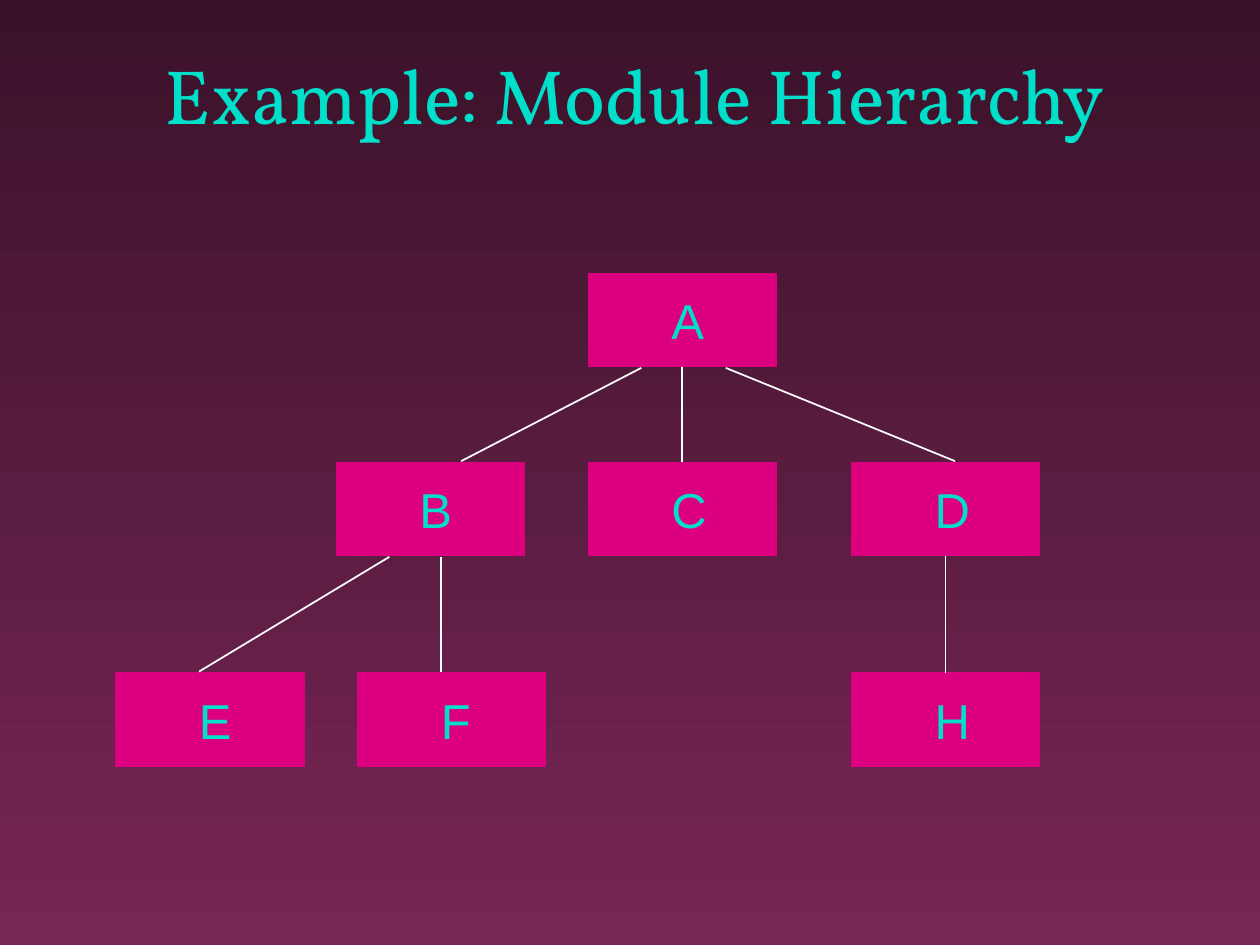
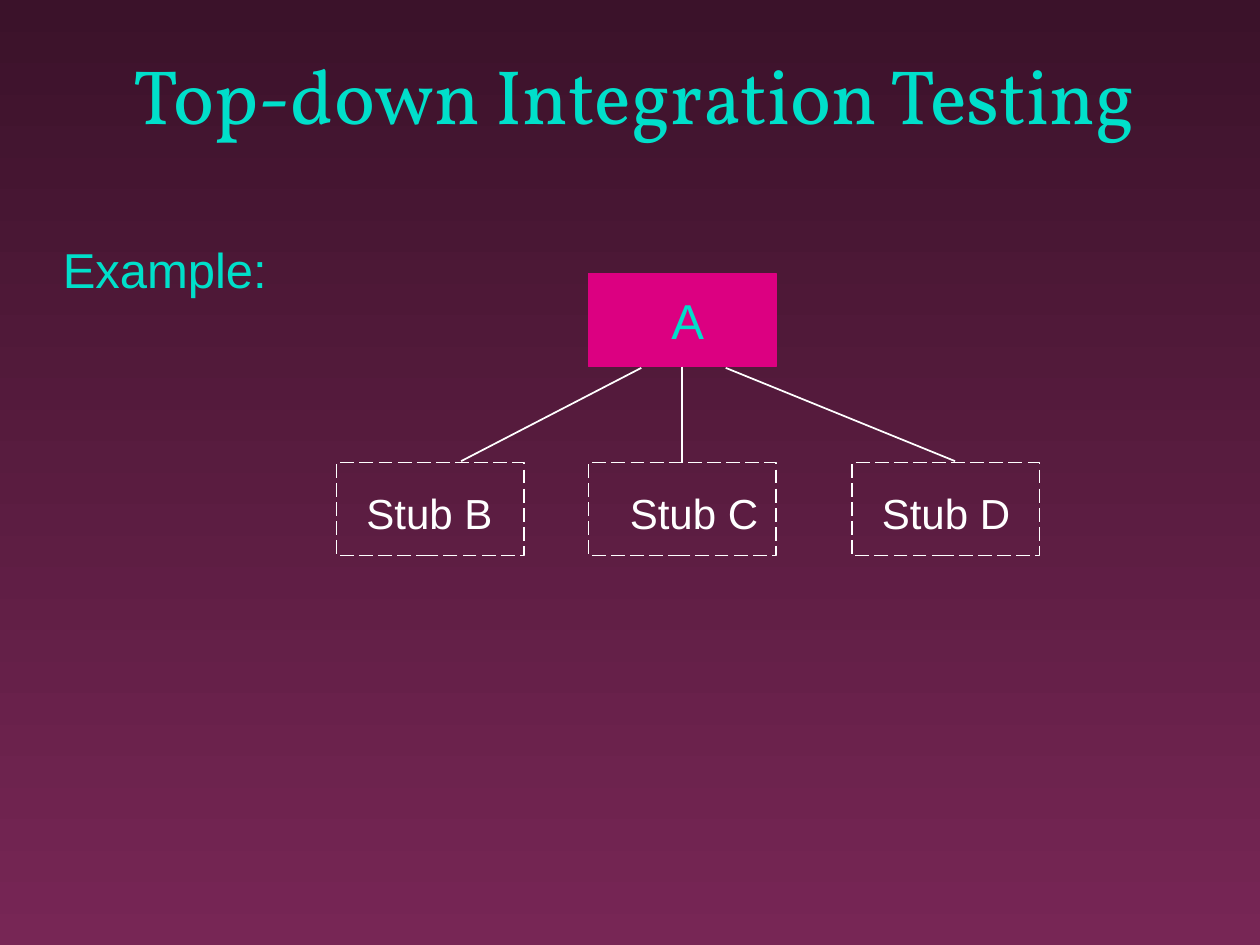
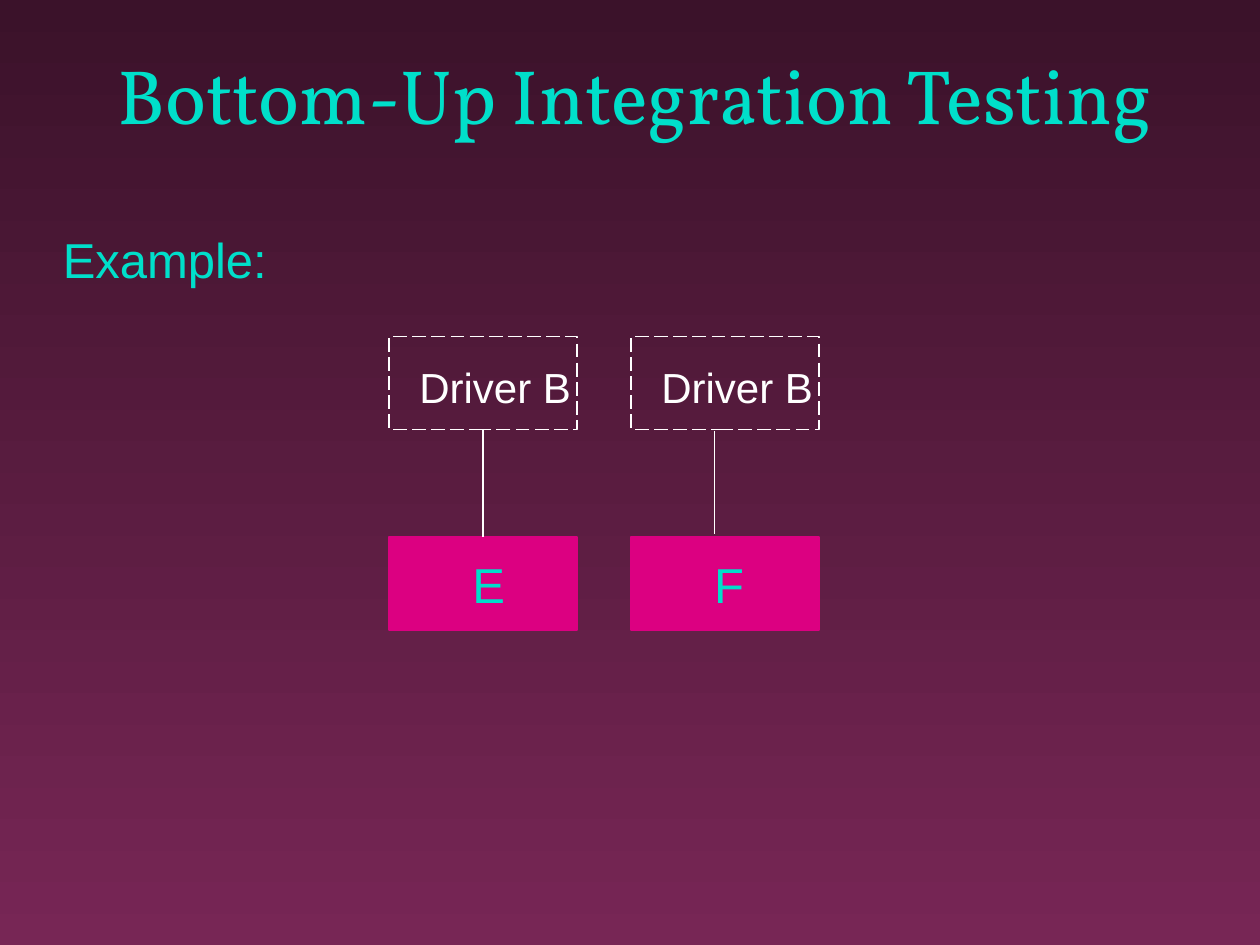
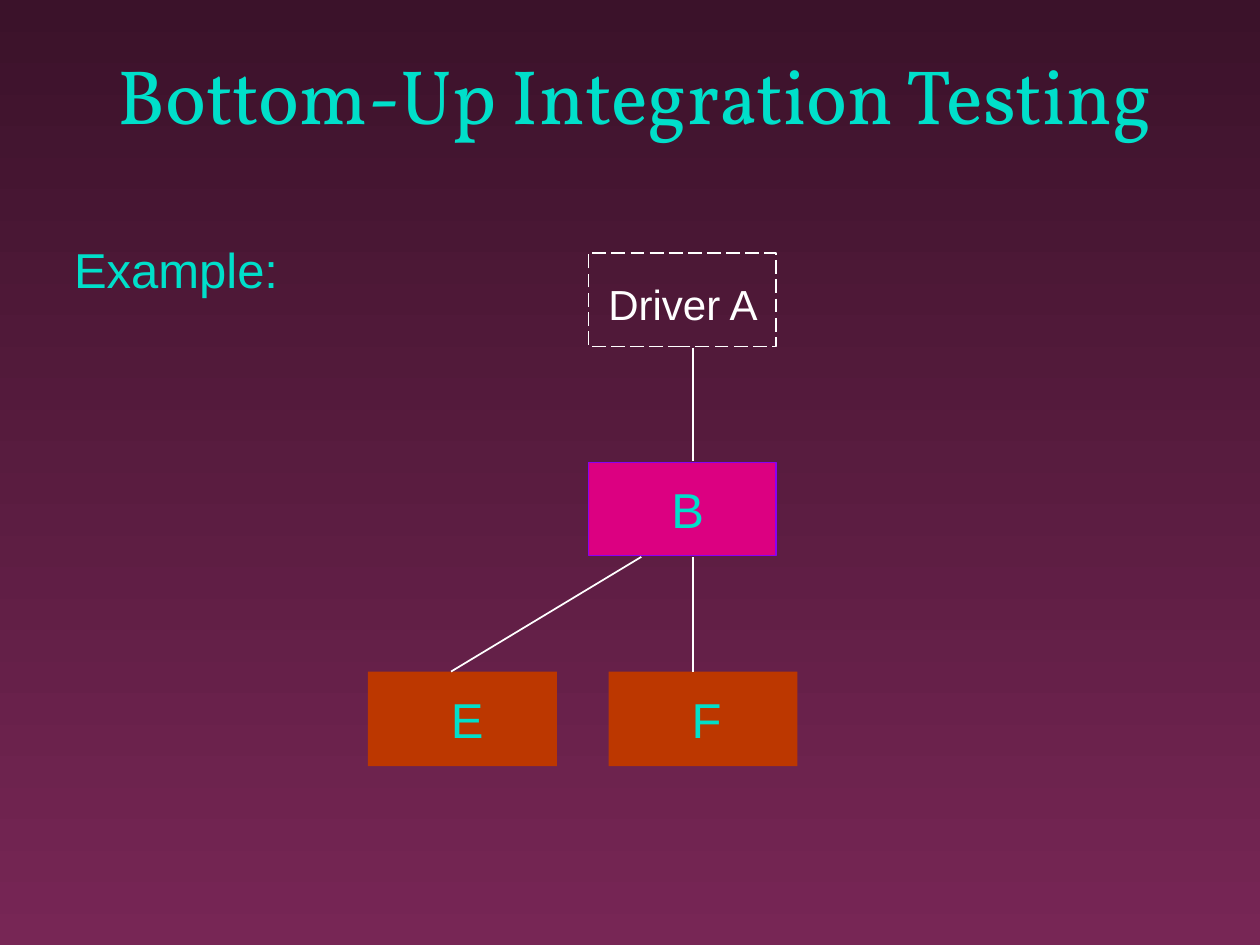
from dataclasses import dataclass
from typing import Optional

from lxml.etree import SubElement
from pptx import Presentation
from pptx.dml.color import RGBColor
from pptx.enum.dml import MSO_LINE
from pptx.enum.shapes import MSO_CONNECTOR, MSO_SHAPE
from pptx.enum.text import MSO_ANCHOR, MSO_AUTO_SIZE, PP_ALIGN
from pptx.oxml.ns import qn
from pptx.util import Inches, Pt

TEAL = "00DFCA"
PINK = "DC0081"
RUST = "BC3700"
VIOLET = "8901F3"
WHITE = "FFFFFF"
BACKGROUND = ("3B122A", "772655")
TITLE_FONT = "Vollkorn"
BODY_FONT = "Arial"
LETTER_WIDTHS = {"A": 0.46, "B": 0.46, "C": 0.48, "D": 0.48, "E": 0.46, "F": 0.44, "H": 0.48}
DRIVER_LABEL_WIDTH = 1.44
TOP, BOTTOM = 0, 2


@dataclass(frozen=True)
class Module:
    text: str
    left: float
    top: float
    fill: str = PINK
    line: Optional[str] = PINK
    width: float = 1.49
    height: float = 0.74
    label_filled: bool = False


@dataclass(frozen=True)
class Placeholder:
    text: str
    left: float
    top: float
    label_width: float
    label_inset: float = 0.14
    width: float = 1.49
    height: float = 0.74


@dataclass(frozen=True)
class Link:
    start: tuple[float, float]
    end: tuple[float, float]
    parent: Optional[Module | Placeholder] = None
    child: Optional[Module | Placeholder] = None


@dataclass(frozen=True)
class Diagram:
    title: str
    boxes: list[Module | Placeholder]
    links: list[Link]
    example_at: Optional[tuple[float, float]] = None


def color(value: str) -> RGBColor:
    return RGBColor.from_string(value)


def write(shape, text: str, *, size: float, font: str = BODY_FONT, ink: str = TEAL,
          align=PP_ALIGN.LEFT, anchor=MSO_ANCHOR.TOP, wrap: bool = False,
          autofit=MSO_AUTO_SIZE.SHAPE_TO_FIT_TEXT) -> None:
    frame = shape.text_frame
    frame.text = text
    frame.word_wrap = wrap
    frame.auto_size = autofit
    frame.vertical_anchor = anchor
    paragraph = frame.paragraphs[0]
    paragraph.alignment = align
    run_font = paragraph.runs[0].font
    run_font.name = font
    run_font.size = Pt(size)
    run_font.color.rgb = color(ink)


def add_label(shapes, text: str, left: float, top: float, width: float, *,
              size: float = 28, ink: str = TEAL, fill: Optional[str] = None) -> None:
    height = 0.56 if size == 28 else 0.5
    label = shapes.add_textbox(Inches(left), Inches(top), Inches(width), Inches(height))
    if fill:
        label.fill.solid()
        label.fill.fore_color.rgb = color(fill)
    write(label, text, size=size, ink=ink)


def add_box(shapes, box: Module | Placeholder, *, fill: Optional[str], line: Optional[str]):
    shape = shapes.add_shape(MSO_SHAPE.RECTANGLE, Inches(box.left), Inches(box.top),
                             Inches(box.width), Inches(box.height))
    shape.shadow.inherit = False
    if fill:
        shape.fill.solid()
        shape.fill.fore_color.rgb = color(fill)
    else:
        shape.fill.background()
    if line:
        shape.line.color.rgb = color(line)
        shape.line.width = Pt(1)
    else:
        shape.line.fill.background()
    return shape


def add_module(slide, module: Module):
    shapes = slide.shapes.add_group_shape().shapes
    shape = add_box(shapes, module, fill=module.fill, line=module.line)
    add_label(shapes, module.text, module.left + 0.56, module.top + 0.09,
              LETTER_WIDTHS[module.text], fill=module.fill if module.label_filled else None)
    return shape


def add_placeholder(slide, box: Placeholder):
    shape = add_box(slide.shapes, box, fill=None, line=WHITE)
    shape.line.dash_style = MSO_LINE.LONG_DASH
    add_label(slide.shapes, box.text, box.left + box.label_inset, box.top + 0.15,
              box.label_width, size=24, ink=WHITE)
    return shape


def add_link(slide, link: Link, drawn: dict) -> None:
    connector = slide.shapes.add_connector(
        MSO_CONNECTOR.STRAIGHT, *(Inches(value) for value in link.start + link.end))
    connector.line.color.rgb = color(WHITE)
    connector.line.width = Pt(1)
    SubElement(connector._element.spPr, qn("a:effectLst"))
    if link.parent:
        connector.begin_connect(drawn[link.parent], BOTTOM)
    if link.child:
        connector.end_connect(drawn[link.child], TOP)


def add_title(slide, text: str) -> None:
    title = slide.shapes.title
    title.left, title.top = Inches(0.75), Inches(0.08)
    title.width, title.height = Inches(8.58), Inches(1.08)
    write(title, text, size=44, font=TITLE_FONT, align=PP_ALIGN.CENTER,
          anchor=MSO_ANCHOR.BOTTOM, wrap=True, autofit=MSO_AUTO_SIZE.NONE)


def add_diagram(presentation, diagram: Diagram) -> None:
    slide = presentation.slides.add_slide(presentation.slide_layouts[5])
    add_title(slide, diagram.title)
    drawn = {}
    for box in diagram.boxes:
        draw = add_module if isinstance(box, Module) else add_placeholder
        drawn[box] = draw(slide, box)
    for link in diagram.links:
        add_link(slide, link, drawn)
    if diagram.example_at:
        add_label(slide.shapes, "Example:", *diagram.example_at, 1.93)


def set_background(presentation) -> None:
    fill = presentation.slide_master.background.fill
    fill.gradient()
    fill.gradient_angle = 270
    for stop, value in zip(fill.gradient_stops, BACKGROUND):
        stop.color.rgb = color(value)


def links_below_root(root: Module, middle: Module | Placeholder) -> list[Link]:
    return [
        Link((5.42, 2.92), (5.42, 3.66), root, middle),
        Link((5.76, 2.92), (7.58, 3.66)),
        Link((5.09, 2.92), (3.66, 3.66)),
    ]


def hierarchy() -> Diagram:
    root = Module("A", 4.67, 2.17)
    module_b, module_c, module_d = (
        Module(text, left, 3.67) for text, left in zip("BCD", (2.67, 4.67, 6.76)))
    module_e, module_f, module_h = (
        Module(text, left, 5.34) for text, left in zip("EFH", (0.92, 2.84, 6.76)))
    links = links_below_root(root, module_c) + [
        Link((3.5, 4.42), (3.5, 5.33)),
        Link((7.5, 4.42), (7.5, 5.33), module_d, module_h),
        Link((3.09, 4.42), (1.58, 5.33)),
    ]
    boxes = [root, module_b, module_c, module_d, module_e, module_f, module_h]
    return Diagram("Example: Module Hierarchy", boxes, links)


def top_down() -> Diagram:
    root = Module("A", 4.67, 2.17)
    stub_b = Placeholder("Stub B", 2.67, 3.67, 1.22)
    stub_c = Placeholder("Stub C", 4.67, 3.67, 1.22, label_inset=0.23)
    stub_d = Placeholder("Stub D", 6.76, 3.67, 1.22)
    return Diagram("Top-down Integration Testing", [root, stub_b, stub_c, stub_d],
                   links_below_root(root, stub_c), (0.4, 1.85))


def bottom_up_leaves() -> Diagram:
    columns = (3.09, 5.01)
    drivers = [Placeholder("Driver B", left, 2.67, DRIVER_LABEL_WIDTH) for left in columns]
    leaves = [Module(text, left, 4.26) for text, left in zip("EF", columns)]
    links = [
        Link((3.83, 3.42), (3.83, 4.24), drivers[0], leaves[0]),
        Link((5.67, 3.42), (5.67, 4.24)),
    ]
    return Diagram("Bottom-Up Integration Testing", drivers + leaves, links, (0.4, 1.77))


def bottom_up_subtree() -> Diagram:
    driver = Placeholder("Driver A", 4.67, 2.01, DRIVER_LABEL_WIDTH, label_inset=0.06)
    module_b = Module("B", 4.67, 3.67, line=VIOLET, label_filled=True)
    tested = [Module(text, left, 5.33, RUST, None, 1.5, 0.75, True)
              for text, left in zip("EF", (2.92, 4.83))]
    links = [
        Link((5.5, 2.76), (5.5, 3.66)),
        Link((5.5, 4.42), (5.5, 5.33)),
        Link((5.09, 4.42), (3.58, 5.33)),
    ]
    return Diagram("Bottom-Up Integration Testing", [driver, module_b, *tested],
                   links, (0.49, 1.85))


def main() -> None:
    presentation = Presentation()
    presentation.slide_width = Inches(10)
    presentation.slide_height = Inches(7.5)
    set_background(presentation)
    for diagram in (hierarchy(), top_down(), bottom_up_leaves(), bottom_up_subtree()):
        add_diagram(presentation, diagram)
    presentation.save("out.pptx")


if __name__ == "__main__":
    main()
